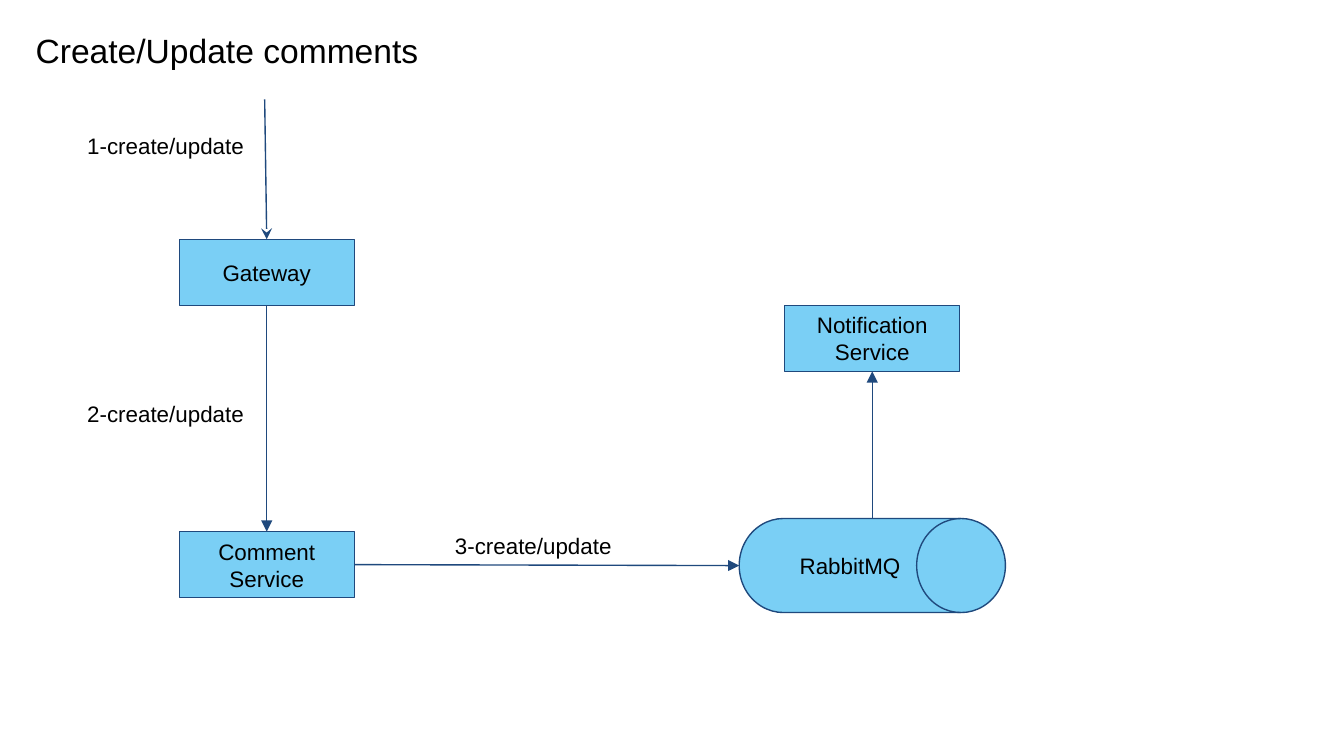
from lxml import etree
from pptx import Presentation
from pptx.enum import shapes, text
from pptx.oxml import ns
from pptx.dml.color import RGBColor
from pptx.util import Pt

# Content
COLORS = {"fill": "7ACFF5", "line": "1F497D", "text": "000000"}
FONT = "Arial"
INSET = 7.2
TOP, LEFT, BOTTOM, RIGHT = range(4)
BOX, DRUM = (93.8, 35.4), (142.6, 50.4)
RECT = shapes.MSO_SHAPE.RECTANGLE
CYL = shapes.MSO_SHAPE.FLOWCHART_DIRECT_ACCESS_STORAGE

# Name: center x, top, size, shape
NODES = {
    "Gateway": (142.9, 128.2, BOX, RECT),
    "Comment Service": (142.9, 284.8, BOX, RECT),
    "Notification Service": (467.3, 163.6, BOX, RECT),
    "RabbitMQ": (467.3, 277.8, DRUM, CYL),
}
# From, side, to, side
LINKS = [
    ("Gateway", BOTTOM, "Comment Service", TOP),
    ("Comment Service", RIGHT, "RabbitMQ", LEFT),
    ("RabbitMQ", TOP, "Notification Service", BOTTOM),
]
# Text, left, top, width, height, size
LABELS = [
    ("Create/Update comments", 12, 8.6, 702, 29.5, 18),
    ("1-create/update", 39.6, 63.4, 101, 21.6, 12),
    ("2-create/update", 39.6, 207.4, 101, 21.6, 12),
    ("3-create/update", 236.6, 278, 108.7, 21.6, 12),
]
ENTRY = (141.8, 53.3)


def color(name):
    return RGBColor.from_string(COLORS[name])


def write(shape, words, size, align, anchor):
    frame = shape.text_frame
    frame.text = words
    frame.word_wrap = True
    frame.vertical_anchor = anchor
    frame.margin_left = frame.margin_right = Pt(INSET)
    frame.margin_top = frame.margin_bottom = Pt(INSET)
    para = frame.paragraphs[0]
    para.alignment = align
    font = para.runs[0].font
    font.name, font.size = FONT, Pt(size)
    font.color.rgb = color("text")


def outline(shape):
    shape.line.color.rgb = color("line")
    shape.line.width = Pt(0.75)


def arrow(slide, end, tip):
    line = slide.shapes.add_connector(
        shapes.MSO_CONNECTOR.STRAIGHT, *map(Pt, ENTRY + ENTRY))
    line.end_connect(*end)
    outline(line)
    head = etree.SubElement(line.line._get_or_add_ln(), ns.qn("a:tailEnd"))
    head.set("type", tip)
    etree.SubElement(line._element.spPr, ns.qn("a:effectLst"))
    return line


def main():
    deck = Presentation()
    deck.slide_width, deck.slide_height = Pt(720), Pt(405)
    slide = deck.slides.add_slide(deck.slide_layouts[6])

    # Services and queue
    nodes = {}
    for name, (mid, top, (wide, high), kind) in NODES.items():
        node = slide.shapes.add_shape(
            kind, Pt(mid - wide / 2), Pt(top), Pt(wide), Pt(high))
        node.shadow.inherit = False
        node.fill.solid()
        node.fill.fore_color.rgb = color("fill")
        outline(node)
        write(node, name, 12, text.PP_ALIGN.CENTER, text.MSO_ANCHOR.MIDDLE)
        nodes[name] = node

    # Arrows
    arrow(slide, (nodes["Gateway"], TOP), "stealth")
    for start, out, end, side in LINKS:
        line = arrow(slide, (nodes[end], side), "triangle")
        line.begin_connect(nodes[start], out)

    # Title and labels
    for words, left, top, wide, high, size in LABELS:
        box = slide.shapes.add_textbox(Pt(left), Pt(top), Pt(wide), Pt(high))
        write(box, words, size, text.PP_ALIGN.LEFT, text.MSO_ANCHOR.TOP)

    deck.save("out.pptx")


if __name__ == "__main__":
    main()
